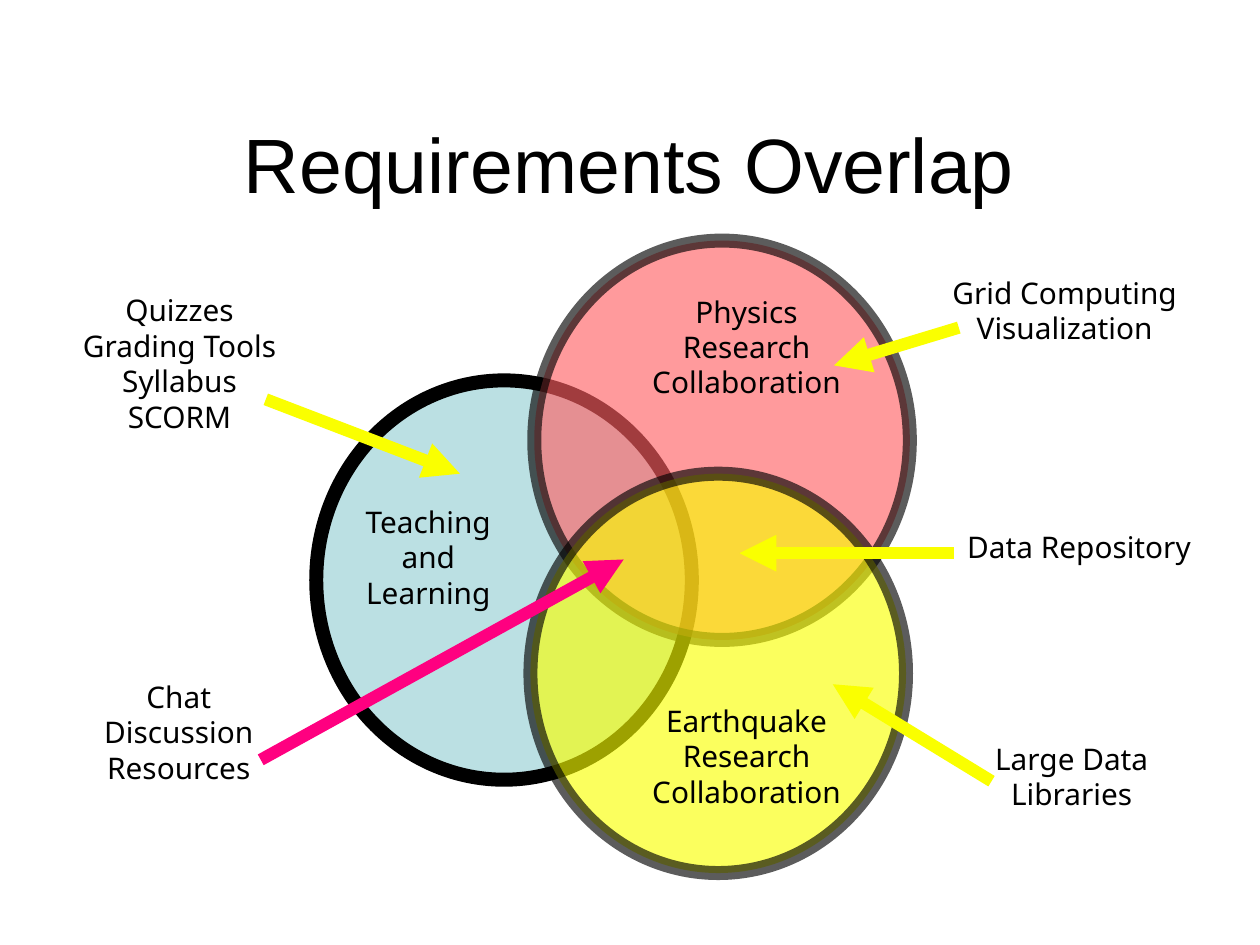
from lxml.etree import SubElement
from pptx import Presentation
from pptx.dml.color import RGBColor
from pptx.enum.shapes import MSO_CONNECTOR, MSO_SHAPE
from pptx.enum.text import MSO_ANCHOR, MSO_AUTO_SIZE, PP_ALIGN
from pptx.oxml.ns import qn
from pptx.util import Pt

TITLE = "Requirements Overlap"
BLACK, YELLOW, PINK = "000000", "FAFF00", "FF0080"
CIRCLE_WIDTH, CIRCLE_HEIGHT = 214.6, 228.2
LINE_HEIGHT = 20.2

# left, top, fill, opacity in percent
CIRCLES = [
    (180.7, 217.4, "BBE0E3", 100),
    (305.3, 137.5, "FF6063", 63),
    (303.1, 270.7, YELLOW, 63),
]

# left, top, width, lines
LABELS = [
    (367.9, 168.5, 113.8, ["Physics", "Research", "Collaboration"]),
    (367.9, 402.5, 113.8, ["Earthquake", "Research", "Collaboration"]),
    (204.5, 288.7, 77, ["Teaching", "and", "Learning"]),
    (540, 157.7, 133.2, ["Grid Computing", "Visualization"]),
    (548.6, 303.1, 132.5, ["Data Repository"]),
    (564.5, 424.1, 92.2, ["Large Data", "Libraries"]),
    (42.5, 167.8, 116.6, ["Quizzes", "Grading Tools", "Syllabus", "SCORM"]),
    (55.4, 388.8, 90, ["Chat", "Discussion", "Resources"]),
]

# start x, start y, end x, end y, colour
ARROWS = [
    (151.9, 228.2, 262.8, 270.7, YELLOW),
    (149, 434.2, 356.4, 319.7, PINK),
    (545, 316.1, 422.6, 316.1, YELLOW),
    (566.6, 446.4, 475.9, 391, YELLOW),
    (547.9, 187.2, 476.6, 208.8, YELLOW),
]


def paint(fill, color, opacity=100):
    fill.solid()
    fill.fore_color.rgb = RGBColor.from_string(color)
    if opacity < 100:
        for node in fill._xPr.iter(qn("a:srgbClr")):
            SubElement(node, qn("a:alpha"), val=str(opacity * 1000))


def place(shape, left, top, width, height):
    shape.left, shape.top = Pt(left), Pt(top)
    shape.width, shape.height = Pt(width), Pt(height)


def set_margins(frame, left, right):
    frame.margin_left, frame.margin_right = Pt(left), Pt(right)
    frame.margin_top = frame.margin_bottom = 0


def style_paragraph(para, font_name, size):
    para.alignment = PP_ALIGN.CENTER
    for span in para.runs:
        span.font.name, span.font.size = font_name, Pt(size)
        paint(span.font.fill, BLACK)


def add_title(slide):
    title = slide.shapes.title
    place(title, 54, 48.2, 612, 90)
    frame = title.text_frame
    frame.text = TITLE
    frame.vertical_anchor = MSO_ANCHOR.MIDDLE
    frame.auto_size = MSO_AUTO_SIZE.NONE
    set_margins(frame, 5, 5.8)
    style_paragraph(frame.paragraphs[0], "Arial", 44)


def add_circle(slide, left, top, color, opacity):
    circle = slide.shapes.add_shape(
        MSO_SHAPE.OVAL, Pt(left), Pt(top), Pt(CIRCLE_WIDTH), Pt(CIRCLE_HEIGHT))
    circle.shadow.inherit = False
    paint(circle.fill, color, opacity)
    circle.line.width = Pt(8)
    paint(circle.line.fill, BLACK, opacity)


def add_label(slide, left, top, width, lines):
    box = slide.shapes.add_textbox(
        Pt(left), Pt(top), Pt(width), Pt(LINE_HEIGHT * len(lines)))
    frame = box.text_frame
    frame.text = "\n".join(lines)
    frame.word_wrap = False
    frame.auto_size = MSO_AUTO_SIZE.SHAPE_TO_FIT_TEXT
    set_margins(frame, 0, 0)
    for para in frame.paragraphs:
        style_paragraph(para, "Noto Sans", 17)
        para.line_spacing = 0.99
        para._p.get_or_add_pPr().set("marL", str(Pt(3.6)))


def add_arrow(slide, start_x, start_y, end_x, end_y, color):
    arrow = slide.shapes.add_connector(
        MSO_CONNECTOR.STRAIGHT, Pt(start_x), Pt(start_y), Pt(end_x), Pt(end_y))
    arrow.line.width = Pt(7)
    paint(arrow.line.fill, color)
    SubElement(arrow.line._get_or_add_ln(), qn("a:tailEnd"), type="triangle")
    SubElement(arrow._element.spPr, qn("a:effectLst"))


def main():
    deck = Presentation()
    deck.slide_width, deck.slide_height = Pt(720), Pt(540)
    slide = deck.slides.add_slide(deck.slide_layouts[5])
    add_title(slide)
    for circle in CIRCLES:
        add_circle(slide, *circle)
    for label in LABELS:
        add_label(slide, *label)
    for arrow in ARROWS:
        add_arrow(slide, *arrow)
    deck.save("out.pptx")


if __name__ == "__main__":
    main()
